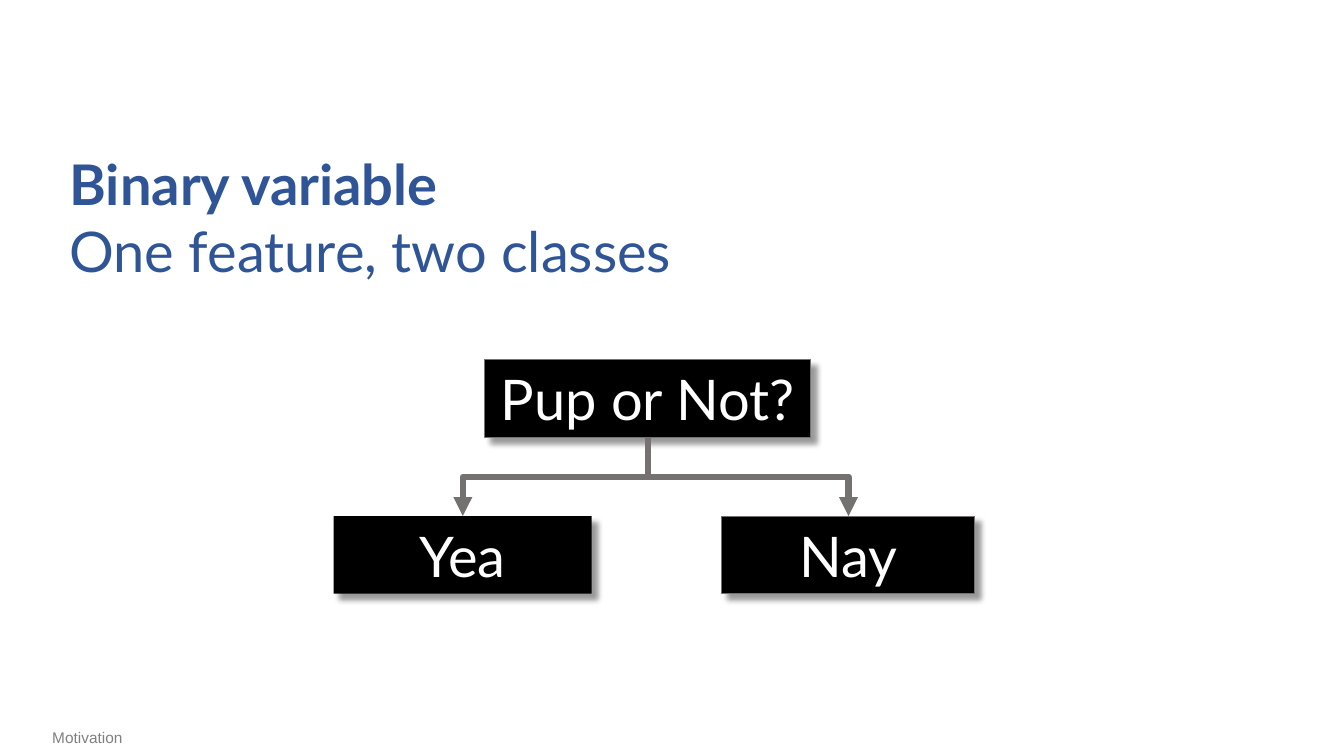
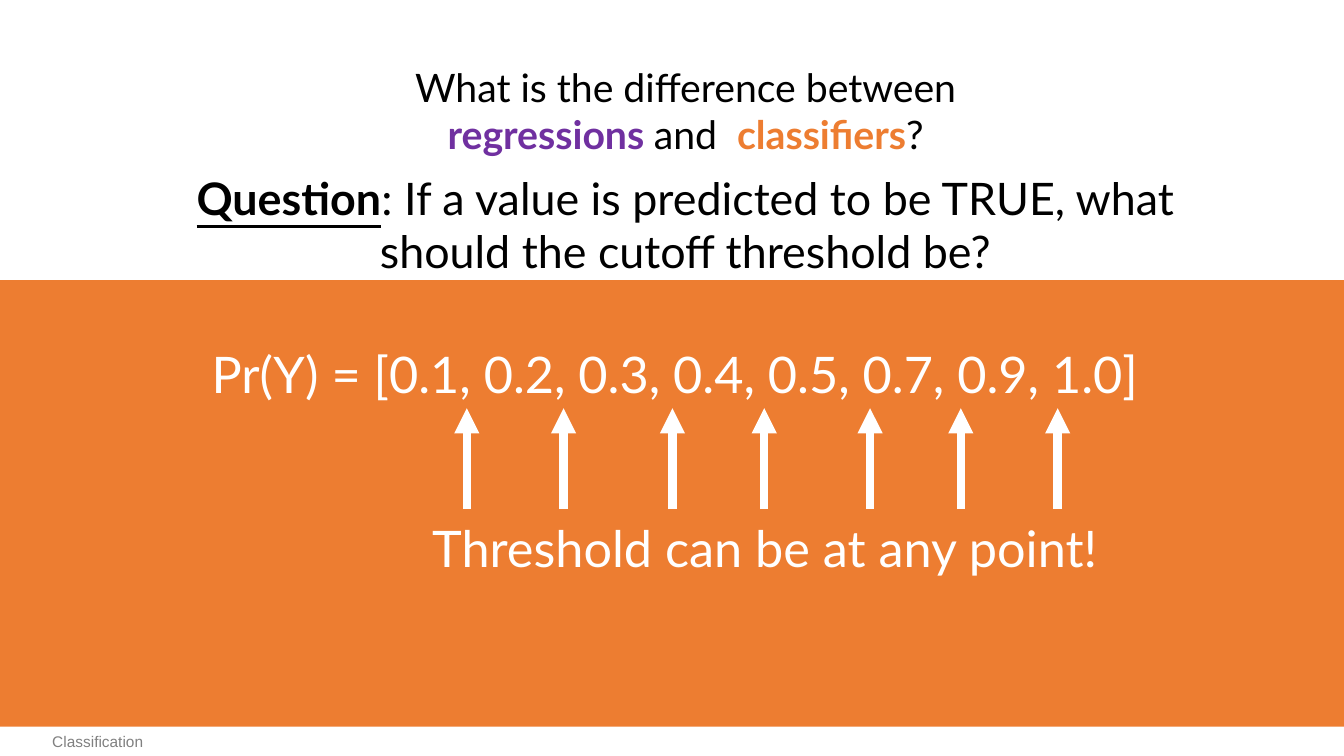
from lxml.etree import SubElement
from pptx import Presentation
from pptx.dml.color import RGBColor
from pptx.enum.shapes import MSO_CONNECTOR, MSO_SHAPE
from pptx.enum.text import MSO_ANCHOR, MSO_AUTO_SIZE, PP_ALIGN
from pptx.oxml.ns import qn
from pptx.util import Emu, Pt


class Theme:
    font, footer_font = "Lato", "Arial"
    black, white, grey, footer = "000000", "FFFFFF", "767171", "808080"
    blue, purple, orange = "2F5597", "7030A0", "ED7D31"
    big, threshold, question, title, small = 40, 36, 32, 28, 11


PX = 9144  # 100 px to the inch
WIDTH, HEIGHT = 1333, 750

# Content: paragraphs are lists of (text, colour, style), style "b" bold, "u" underlined
BINARY_TITLE = [
    [("Binary variable", Theme.blue, "b")],
    [("One feature, two classes", Theme.blue, "")],
]
ROOT = ("Pup or Not?", (481, 357, 323, 77), Theme.grey)
LEAVES = [
    ("Yea", (331, 512, 256, 77), None),
    ("Nay", (716, 512, 251, 77), Theme.grey),
]
DIFFERENCE_TITLE = [
    [("What is the difference between", Theme.black, "")],
    [("regressions ", Theme.purple, "b"), ("and  ", Theme.black, ""),
     ("classifiers", Theme.orange, "b"), ("?", Theme.black, "")],
]
QUESTION = [
    [("Question", Theme.black, "bu"),
     (": If a value is predicted to be TRUE, what should the cutoff threshold be?",
      Theme.black, "")],
]
PROBABILITIES = [[("Pr(Y) = [0.1, 0.2, 0.3, 0.4, 0.5, 0.7, 0.9, 1.0]", Theme.white, "")]]
ANSWER = [[("Threshold can be at any point!", Theme.white, "")]]
CUTOFFS_X = [463, 559, 667, 758, 863, 953, 1049]
CUTOFF_TOP, CUTOFF_BOTTOM = 405, 505


def px(*values):
    return [Emu(round(v * PX)) for v in values]


def rgb(color):
    return RGBColor.from_string(color)


def write(sp, paragraphs, size, align=PP_ALIGN.LEFT, font=Theme.font, wrap=True):
    tf = sp.text_frame
    tf.word_wrap = wrap
    tf.auto_size = MSO_AUTO_SIZE.NONE
    tf.vertical_anchor = MSO_ANCHOR.TOP
    for i, runs in enumerate(paragraphs):
        p = tf.add_paragraph() if i else tf.paragraphs[0]
        p.alignment = align
        for text, color, style in runs:
            r = p.add_run()
            r.text = text
            r.font.name, r.font.size = font, Pt(size)
            r.font.bold, r.font.underline = "b" in style, "u" in style
            r.font.color.rgb = rgb(color)


def add_text(s, box, paragraphs, size, **style):
    write(s.shapes.add_textbox(*px(*box)), paragraphs, size, **style)


def add_slide(prs, title, box, size, align, footer, footer_top):
    s = prs.slides.add_slide(prs.slide_layouts[5])
    sp = s.shapes.title
    sp.left, sp.top, sp.width, sp.height = px(*box)
    write(sp, title, size, align)
    add_text(s, (42, footer_top, 227, 29), [[(footer, Theme.footer, "")]],
             Theme.small, font=Theme.footer_font)
    return s


def add_rect(s, box, fill, line=None):
    sp = s.shapes.add_shape(MSO_SHAPE.RECTANGLE, *px(*box))
    sp.shadow.inherit = False
    sp.fill.solid()
    sp.fill.fore_color.rgb = rgb(fill)
    if line:
        sp.line.color.rgb = rgb(line)
        sp.line.width = Pt(0.75)
    else:
        sp.line.fill.background()
    return sp


def add_node(s, text, box, line):
    sp = add_rect(s, box, Theme.black, line)
    effects = sp._element.spPr.find(qn("a:effectLst"))
    shadow = SubElement(effects, qn("a:outerShdw"), blurRad=str(Pt(4)), dist=str(Pt(6)),
                        dir="2700000", algn="tl", rotWithShape="0")
    color = SubElement(shadow, qn("a:srgbClr"), val=Theme.black)
    SubElement(color, qn("a:alpha"), val="40000")
    write(sp, [[(text, Theme.white, "")]], Theme.big, PP_ALIGN.CENTER, wrap=False)


def add_arrow(s, kind, ends, color, width):
    cxn = s.shapes.add_connector(kind, *px(*ends))
    cxn.line.color.rgb = rgb(color)
    cxn.line.width = Pt(width)
    SubElement(cxn.line._get_or_add_ln(), qn("a:tailEnd"), type="triangle")
    SubElement(cxn._element.spPr, qn("a:effectLst"))
    return cxn


def add_branch(s, parent, child):
    """Elbow arrow that leaves the parent downwards: a turned horizontal elbow."""
    x1, y1 = parent[0] + parent[2] / 2, parent[1] + parent[3]
    x2, y2 = child[0] + child[2] / 2, child[1]
    cx, cy = (x1 + x2) / 2, (y1 + y2) / 2
    half_w, half_h = (y2 - y1) / 2, abs(x2 - x1) / 2
    rightward = x2 > x1
    if rightward:
        half_w = -half_w
    cxn = add_arrow(s, MSO_CONNECTOR.ELBOW,
                    (cx - half_w, cy - half_h, cx + half_w, cy + half_h), Theme.grey, 4.5)
    cxn._element.spPr.xfrm.set("rot", str((270 if rightward else 90) * 60000))


def build_binary(prs):
    s = add_slide(prs, BINARY_TITLE, (59, 143, 820, 145), Theme.big, PP_ALIGN.LEFT,
                  "Motivation", 717)
    for node in [*LEAVES, ROOT]:
        add_node(s, *node)
    for _, box, _ in LEAVES:
        add_branch(s, ROOT[1], box)


def build_threshold(prs):
    s = add_slide(prs, DIFFERENCE_TITLE, (200, 58, 960, 104), Theme.title, PP_ALIGN.CENTER,
                  "Classification", 721)
    add_text(s, (163, 164, 1034, 118), QUESTION, Theme.question, align=PP_ALIGN.CENTER)
    # Orange band with the possible cutoffs
    add_rect(s, (0, 278, WIDTH, 443), Theme.orange)
    add_text(s, (200, 335, 1037, 71), PROBABILITIES, Theme.threshold)
    for x in CUTOFFS_X:
        add_arrow(s, MSO_CONNECTOR.STRAIGHT, (x, CUTOFF_BOTTOM, x, CUTOFF_TOP),
                  Theme.white, 6)
    add_text(s, (240, 508, 1037, 71), ANSWER, Theme.threshold, align=PP_ALIGN.CENTER)


def main():
    prs = Presentation()
    prs.slide_width, prs.slide_height = px(WIDTH, HEIGHT)
    build_binary(prs)
    build_threshold(prs)
    prs.save("out.pptx")


if __name__ == "__main__":
    main()
